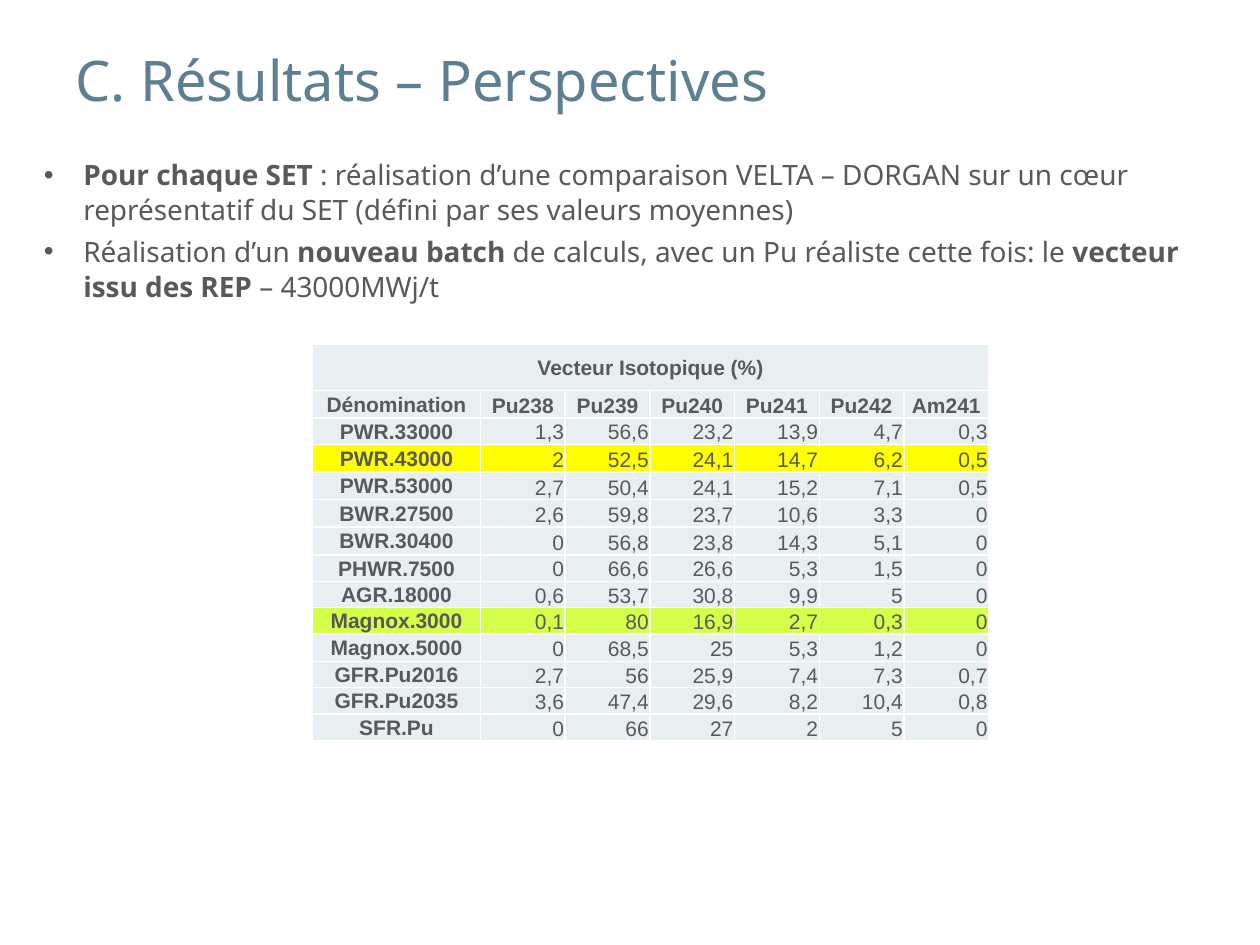
from dataclasses import dataclass

from lxml import etree
from pptx import Presentation
from pptx.dml.color import RGBColor
from pptx.enum.shapes import MSO_SHAPE
from pptx.enum.text import MSO_ANCHOR, PP_ALIGN
from pptx.oxml.ns import qn
from pptx.util import Pt

RECTANGLE = MSO_SHAPE.RECTANGLE
TOP, MIDDLE, BOTTOM = MSO_ANCHOR.TOP, MSO_ANCHOR.MIDDLE, MSO_ANCHOR.BOTTOM
LEFT, CENTER, RIGHT = PP_ALIGN.LEFT, PP_ALIGN.CENTER, PP_ALIGN.RIGHT

WHITE = RGBColor(0xFF, 0xFF, 0xFF)
TITLE_BLUE = RGBColor(0x5C, 0x7F, 0x92)
TEXT_GREY = RGBColor(0x59, 0x59, 0x59)
PALE_BLUE = RGBColor(0xE8, 0xEF, 0xF2)
YELLOW = RGBColor(0xFF, 0xFF, 0x00)
LIME = RGBColor(0xD4, 0xFF, 0x4B)

SLIDE_FONT = "Noto Sans"
TABLE_FONT = "Arial"
NAME_WIDTH = 96
VALUE_WIDTH = 48.4
BORDER_SIDES = ("a:lnL", "a:lnR", "a:lnT", "a:lnB")


@dataclass(frozen=True)
class TextRun:
    text: str
    bold: bool = False


@dataclass(frozen=True)
class TextStyle:
    font: str
    size: float
    color: RGBColor


@dataclass(frozen=True)
class IsotopeRow:
    name: str
    values: str
    height: float
    fill: RGBColor = PALE_BLUE


TITLE_STYLE = TextStyle(SLIDE_FONT, 32, TITLE_BLUE)
BODY_STYLE = TextStyle(SLIDE_FONT, 16, TEXT_GREY)
TABLE_STYLE = TextStyle(TABLE_FONT, 12, TEXT_GREY)

BULLETS = (
    (
        TextRun("Pour chaque SET", True),
        TextRun(" : réalisation d’une comparaison VELTA – DORGAN sur un cœur "
                "représentatif du SET (défini par ses valeurs moyennes)"),
    ),
    (
        TextRun("Réalisation d’un"),
        TextRun(" nouveau batch", True),
        TextRun(" de calculs, avec un Pu réaliste cette fois: le "),
        TextRun("vecteur issu des REP", True),
        TextRun(" – 43000MWj/t"),
    ),
)

TABLE_TITLE = "Vecteur Isotopique (%)"
TABLE_TITLE_HEIGHT = 26.4
HEADER = IsotopeRow("Dénomination", "Pu238 Pu239 Pu240 Pu241 Pu242 Am241", 15.8)
REACTORS = (
    IsotopeRow("PWR.33000", "1,3 56,6 23,2 13,9 4,7 0,3", 14.4),
    IsotopeRow("PWR.43000", "2 52,5 24,1 14,7 6,2 0,5", 15.8, YELLOW),
    IsotopeRow("PWR.53000", "2,7 50,4 24,1 15,2 7,1 0,5", 15.8),
    IsotopeRow("BWR.27500", "2,6 59,8 23,7 10,6 3,3 0", 15.8),
    IsotopeRow("BWR.30400", "0 56,8 23,8 14,3 5,1 0", 15.8),
    IsotopeRow("PHWR.7500", "0 66,6 26,6 5,3 1,5 0", 14.4),
    IsotopeRow("AGR.18000", "0,6 53,7 30,8 9,9 5 0", 15),
    IsotopeRow("Magnox.3000", "0,1 80 16,9 2,7 0,3 0", 15),
    IsotopeRow("Magnox.5000", "0 68,5 25 5,3 1,2 0", 15.5),
    IsotopeRow("GFR.Pu2016", "2,7 56 25,9 7,4 7,3 0,7", 15),
    IsotopeRow("GFR.Pu2035", "3,6 47,4 29,6 8,2 10,4 0,8", 15),
    IsotopeRow("SFR.Pu", "0 66 27 2 5 0", 15.5),
)
HIGHLIGHTS = {"Magnox.3000": LIME}


def add_run(paragraph, text_run: TextRun, style: TextStyle) -> None:
    run = paragraph.add_run()
    run.text = text_run.text
    run.font.name = style.font
    run.font.size = Pt(style.size)
    run.font.bold = text_run.bold
    run.font.color.rgb = style.color


def add_title(slide) -> None:
    shape = slide.shapes.add_textbox(Pt(36), Pt(0), Pt(648), Pt(90))
    frame = shape.text_frame
    frame.word_wrap = True
    frame.vertical_anchor = MIDDLE
    add_run(frame.paragraphs[0], TextRun("C. Résultats – Perspectives"), TITLE_STYLE)


def add_veil(slide, top: float):
    shape = slide.shapes.add_shape(RECTANGLE, Pt(18), Pt(top), Pt(682), Pt(454.3))
    shape.shadow.inherit = False
    shape.line.fill.background()
    shape.fill.solid()
    shape.fill.fore_color.rgb = WHITE
    color = shape.fill._xPr.find(qn("a:solidFill")).find(qn("a:srgbClr"))
    etree.SubElement(color, qn("a:alpha"), val="63000")
    return shape


def add_bullets(shape) -> None:
    frame = shape.text_frame
    frame.word_wrap = True
    frame.vertical_anchor = TOP
    for index, runs in enumerate(BULLETS):
        paragraph = frame.add_paragraph() if index else frame.paragraphs[0]
        paragraph.alignment = LEFT
        paragraph.line_spacing = 1.05
        paragraph.space_before = Pt(3.4)
        properties = paragraph._p.get_or_add_pPr()
        properties.set("marL", str(Pt(22.5)))
        properties.set("indent", str(-Pt(22.5)))
        etree.SubElement(properties, qn("a:buFont"), typeface="Arial")
        etree.SubElement(properties, qn("a:buChar"), char="•")
        for text_run in runs:
            add_run(paragraph, text_run, BODY_STYLE)


def style_cell(cell, fill: RGBColor) -> None:
    cell.margin_left = cell.margin_right = cell.margin_top = Pt(0.7)
    cell.margin_bottom = Pt(0)
    cell.fill.solid()
    cell.fill.fore_color.rgb = fill
    properties = cell._tc.get_or_add_tcPr()
    for index, side in enumerate(BORDER_SIDES):
        border = etree.Element(qn(side), w=str(Pt(1)))
        solid = etree.SubElement(border, qn("a:solidFill"))
        etree.SubElement(solid, qn("a:srgbClr"), val=str(WHITE))
        properties.insert(index, border)


def write_cell(cell, text_run: TextRun, alignment, anchor) -> None:
    cell.vertical_anchor = anchor
    paragraph = cell.text_frame.paragraphs[0]
    paragraph.alignment = alignment
    add_run(paragraph, text_run, TABLE_STYLE)


def add_isotope_table(slide) -> None:
    rows = (HEADER, *REACTORS)
    heights = [TABLE_TITLE_HEIGHT] + [row.height for row in rows]
    widths = [NAME_WIDTH] + [VALUE_WIDTH] * len(HEADER.values.split())
    table = slide.shapes.add_table(
        len(heights), len(widths), Pt(178.6), Pt(196.6),
        Pt(sum(widths)), Pt(sum(heights))).table
    table.first_row = False
    table.horz_banding = False
    for column, width in zip(table.columns, widths):
        column.width = Pt(width)
    for table_row, height in zip(table.rows, heights):
        table_row.height = Pt(height)

    for cell in table.rows[0].cells:
        style_cell(cell, PALE_BLUE)
    table.cell(0, 0).merge(table.cell(0, len(widths) - 1))
    write_cell(table.cell(0, 0), TextRun(TABLE_TITLE, True), CENTER, MIDDLE)

    for row_index, row in enumerate(rows, start=1):
        is_header = row is HEADER
        for column_index, text in enumerate((row.name, *row.values.split())):
            cell = table.cell(row_index, column_index)
            is_name = column_index == 0
            is_label = is_header or is_name
            style_cell(cell, HIGHLIGHTS.get(row.name, row.fill))
            write_cell(cell, TextRun(text, is_label),
                       CENTER if is_label else RIGHT, MIDDLE if is_name else BOTTOM)


def main() -> None:
    presentation = Presentation()
    presentation.slide_width = Pt(720)
    presentation.slide_height = Pt(540)
    slide = presentation.slides.add_slide(presentation.slide_layouts[6])
    add_title(slide)
    add_veil(slide, 66.2)
    add_bullets(add_veil(slide, 85.7))
    add_isotope_table(slide)
    presentation.save("out.pptx")


if __name__ == "__main__":
    main()
